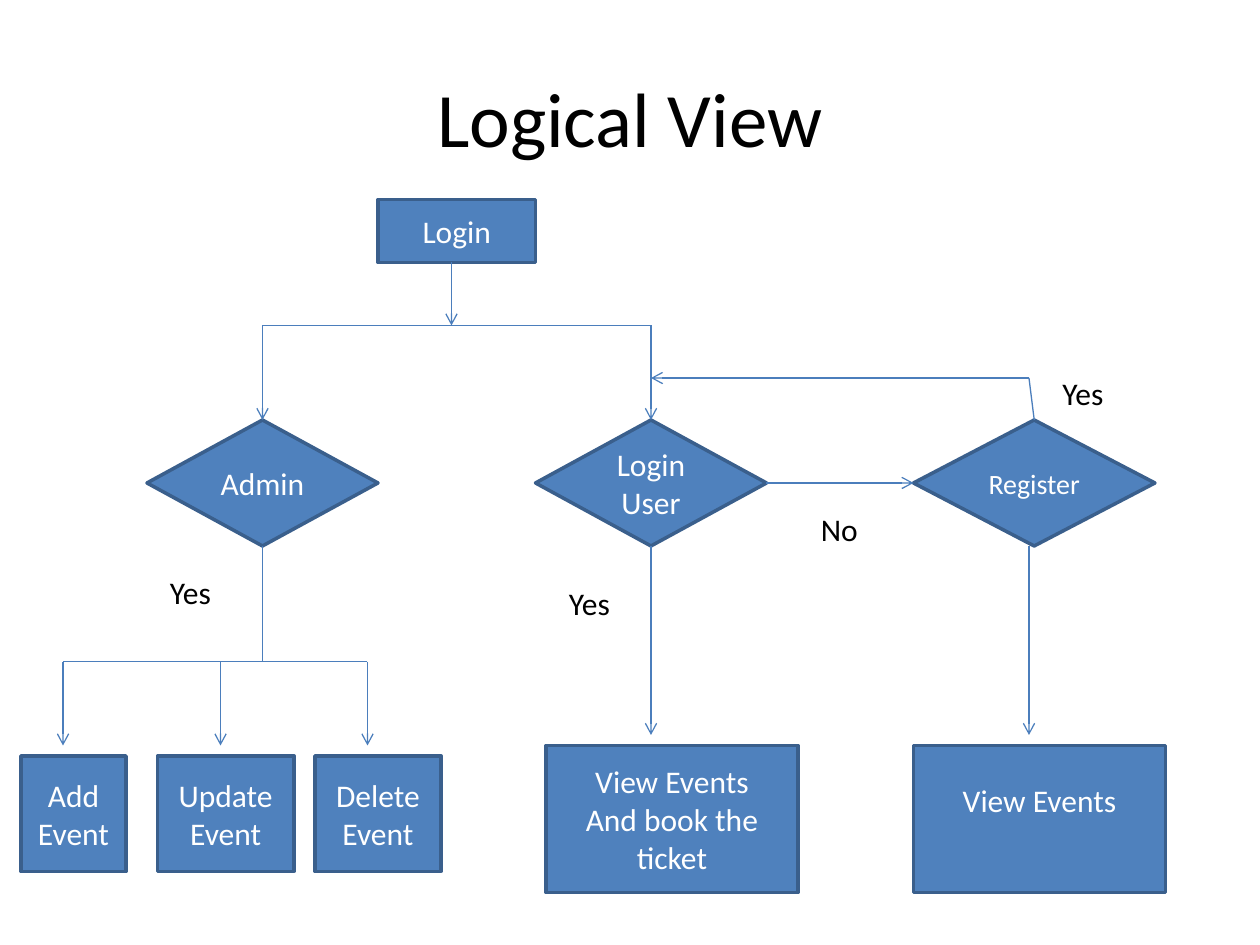
"""Build the Logical View flowchart slide."""
from lxml import etree
from pptx import Presentation
from pptx.dml.color import RGBColor
from pptx.enum import shapes, text
from pptx.oxml.ns import qn
from pptx.util import Pt


def color(value):
    return RGBColor.from_string(value)


def write(sp, content, size, hue, align):
    tf = sp.text_frame
    tf.word_wrap = True
    tf.text = content
    for p in tf.paragraphs:
        p.alignment = align
        for r in p.runs:
            r.font.name = "Calibri"
            r.font.size = Pt(size)
            r.font.color.rgb = color(hue)
    return tf


prs = Presentation()
prs.slide_width, prs.slide_height = Pt(720), Pt(540)
s = prs.slides.add_slide(prs.slide_layouts[6])

LEFT, CENTER = text.PP_ALIGN.LEFT, text.PP_ALIGN.CENTER
RECT, DIAMOND = shapes.MSO_SHAPE.RECTANGLE, shapes.MSO_SHAPE.DIAMOND

title = s.shapes.add_textbox(Pt(36), Pt(21.6), Pt(648), Pt(90))
tf = write(title, "Logical View", 44, "000000", CENTER)
tf.vertical_anchor = text.MSO_ANCHOR.MIDDLE

nodes = [
    (RECT, "Login", 216, 114, 90, 36, 18),
    (DIAMOND, "Admin", 84, 240, 132, 72, 18),
    (DIAMOND, "Login User", 306, 240, 132, 72, 18),
    (DIAMOND, "Register", 522, 240, 138, 72, 16),
    (RECT, "Add\nEvent", 12, 432, 60, 66, 18),
    (RECT, "Update\nEvent", 90, 432, 78, 66, 18),
    (RECT, "Delete\nEvent", 180, 432, 72, 66, 18),
    (RECT, "View Events\nAnd book the ticket", 312, 426, 144, 84, 18),
    (RECT, "View Events", 522, 426, 144, 84, 18),
]
for kind, label, x, y, w, h, size in nodes:
    sp = s.shapes.add_shape(kind, Pt(x), Pt(y), Pt(w), Pt(h))
    sp.shadow.inherit = False
    sp.fill.solid()
    sp.fill.fore_color.rgb = color("4F81BD")
    sp.line.color.rgb = color("3A5F8C")
    sp.line.width = Pt(2)
    tf = write(sp, label, size, "FFFFFF", CENTER)
    tf.vertical_anchor = text.MSO_ANCHOR.MIDDLE
    if label == "View Events":
        tf.margin_bottom = Pt(25.6)

admin_x, user_x, register_x = 150, 372, 588
branch_y, return_y, actions_y = 186, 216, 378
action_xs = [36, 126, 210]

arrows = [
    (258, 150, 258, branch_y),
    (user_x, 312, user_x, 420),
    (register_x, 312, register_x, 420),
    (438, 276, 522, 276),
    (register_x, return_y, user_x, return_y),
]
arrows += [(x, branch_y, x, 240) for x in (admin_x, user_x)]
arrows += [(x, actions_y, x, 426) for x in action_xs]
plain = [
    (admin_x, branch_y, user_x, branch_y),
    (admin_x, 312, admin_x, actions_y),
    (action_xs[0], actions_y, action_xs[-1], actions_y),
    (591, 240, register_x, return_y),
]
for ends in arrows + plain:
    line = s.shapes.add_connector(shapes.MSO_CONNECTOR.STRAIGHT, *map(Pt, ends))
    line.line.color.rgb = color("4B7EBC")
    line.line.width = Pt(0.75)
    if ends in arrows:
        ln = line.line._get_or_add_ln()
        etree.SubElement(ln, qn("a:tailEnd"), type="arrow")
    etree.SubElement(line._element.spPr, qn("a:effectLst"))

answers = [
    ("No", 462, 288, 36),
    ("Yes", 318, 330, 48),
    ("Yes", 600, 210, 48),
    ("Yes", 90, 324, 48),
]
for answer, x, y, w in answers:
    sp = s.shapes.add_textbox(Pt(x), Pt(y), Pt(w), Pt(29))
    write(sp, answer, 18, "000000", LEFT)

prs.save("out.pptx")
